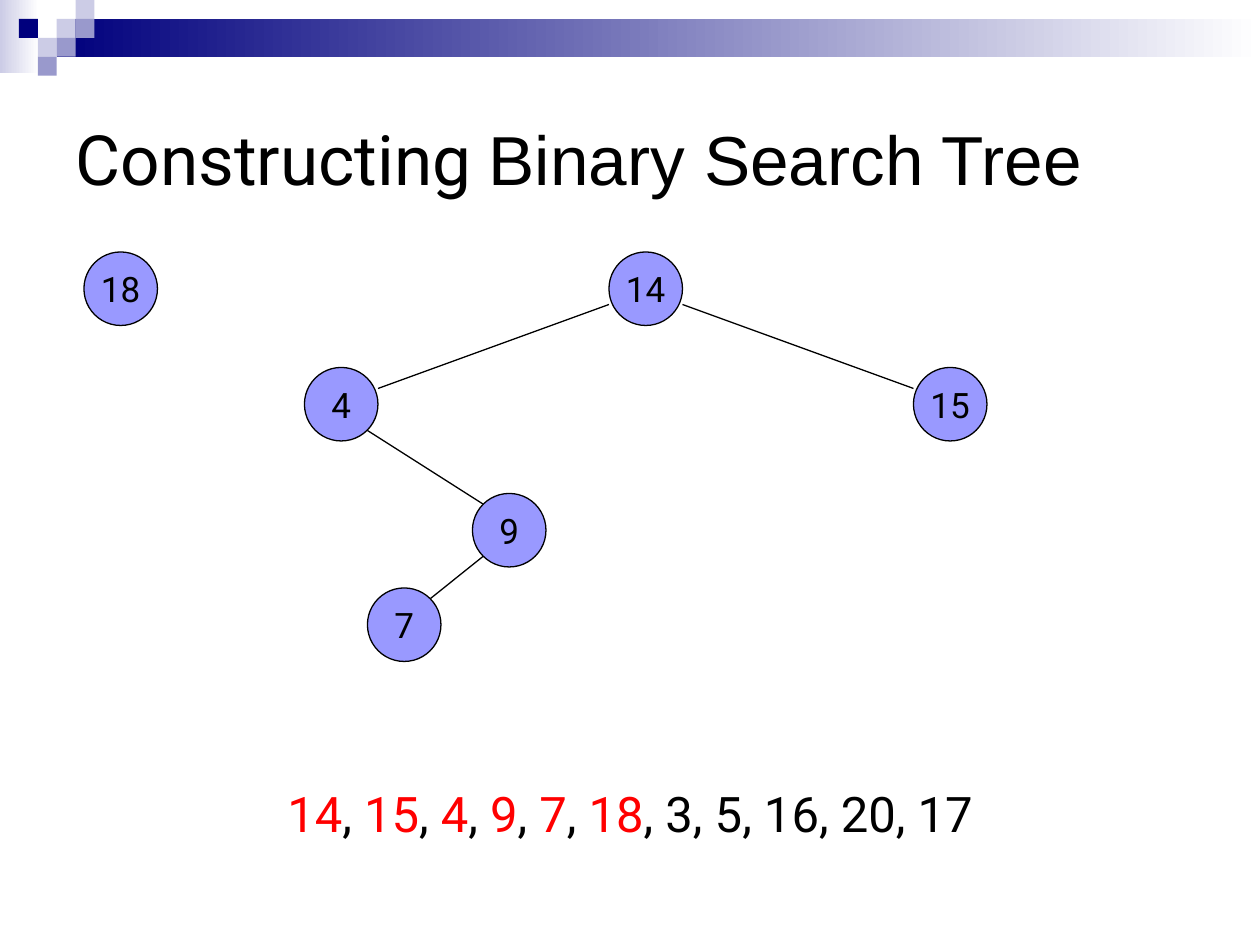
from dataclasses import dataclass

from lxml import etree
from pptx import Presentation
from pptx.dml.color import RGBColor
from pptx.enum.shapes import MSO_CONNECTOR, MSO_SHAPE
from pptx.enum.text import MSO_ANCHOR, PP_ALIGN
from pptx.oxml.ns import qn
from pptx.util import Pt

RECTANGLE, OVAL = MSO_SHAPE.RECTANGLE, MSO_SHAPE.OVAL
STRAIGHT = MSO_CONNECTOR.STRAIGHT
LEFT, CENTER = PP_ALIGN.LEFT, PP_ALIGN.CENTER
TOP, MIDDLE = MSO_ANCHOR.TOP, MSO_ANCHOR.MIDDLE
EMU_PER_PX = 7620
TITLE_ONLY = 5


@dataclass(frozen=True)
class Theme:
    ink: str = "000000"
    inserted: str = "FF0000"
    node: str = "9999FF"
    navy: str = "00007D"
    mid: str = "9999CC"
    pale: str = "CCCCE6"
    white: str = "FFFFFF"
    font: str = "Roboto"
    latin: str = "Arial"
    title_size: float = 39.6
    sequence_size: int = 28
    node_size: int = 20
    stroke: float = 0.75


def px(*lengths):
    return [length * EMU_PER_PX for length in lengths]


def set_all(target, values):
    for name, value in values.items():
        setattr(target, name, value)


class SlideBuilder:
    def __init__(self, slide, theme):
        self.slide = slide
        self.theme = theme

    def fill_text(self, frame, runs, size, align, anchor, margins=None):
        set_all(frame, {"word_wrap": True, "vertical_anchor": anchor, **(margins or {})})
        paragraph = frame.paragraphs[0]
        paragraph.alignment = align
        for text, font, color in runs:
            run = paragraph.add_run()
            run.text = text
            set_all(run.font, {"name": font, "size": Pt(size)})
            run.font.color.rgb = RGBColor.from_string(color)

    def title(self, box, runs):
        title = self.slide.shapes.title
        set_all(title, dict(zip(("left", "top", "width", "height"), px(*box))))
        self.fill_text(title.text_frame, runs, self.theme.title_size, LEFT, MIDDLE)

    def text(self, box, runs, size):
        textbox = self.slide.shapes.add_textbox(*px(*box))
        self.fill_text(textbox.text_frame, runs, size, CENTER, TOP)

    def shape(self, kind, box, color):
        shape = self.slide.shapes.add_shape(kind, *px(*box))
        shape.shadow.inherit = False
        shape.fill.solid()
        shape.fill.fore_color.rgb = RGBColor.from_string(color)
        shape.line.fill.background()
        return shape

    def fade(self, box, color):
        fill = self.shape(RECTANGLE, box, color).fill
        fill.gradient()
        fill.gradient_angle = 0
        for position, (stop, shade) in enumerate(zip(fill.gradient_stops, (color, self.theme.white))):
            stop.position = position
            stop.color.rgb = RGBColor.from_string(shade)

    def outline(self, line):
        line.width = Pt(self.theme.stroke)
        line.color.rgb = RGBColor.from_string(self.theme.ink)

    def node(self, value, left, top, diameter):
        theme = self.theme
        circle = self.shape(OVAL, (left, top, diameter, diameter), theme.node)
        self.outline(circle.line)
        no_margins = {f"margin_{side}": 0 for side in ("left", "right", "top", "bottom")}
        self.fill_text(circle.text_frame, [(str(value), theme.font, theme.ink)],
                       theme.node_size, CENTER, MIDDLE, no_margins)

    def edge(self, start, end):
        edge = self.slide.shapes.add_connector(STRAIGHT, *px(*start, *end))
        self.outline(edge.line)
        etree.SubElement(edge._element.spPr, qn("a:effectLst"))


def main():
    theme = Theme()
    presentation = Presentation()
    set_all(presentation, dict(zip(("slide_width", "slide_height"), px(1200, 900))))
    slide = presentation.slides.add_slide(presentation.slide_layouts[TITLE_ONLY])
    builder = SlideBuilder(slide, theme)

    builder.fade((0, 0, 37, 70), theme.pale)
    builder.fade((54, 18, 1146, 36), theme.navy)
    tile = 18
    for column, row, color in (
        (3, 1, theme.pale), (4, 0, theme.pale), (4, 1, theme.mid), (2, 2, theme.pale),
        (1, 1, theme.navy), (3, 2, theme.mid), (2, 3, theme.mid),
    ):
        builder.shape(RECTANGLE, (column * tile, row * tile, tile, tile), color)

    builder.title((60, 60, 1080, 180), [
        ("Constructing ", theme.font, theme.ink),
        ("Binary Search Tree", theme.latin, theme.ink),
    ])

    inserted = (14, 15, 4, 9, 7, 18)
    sequence = []
    for value in inserted:
        sequence += [(str(value), theme.font, theme.inserted), (", ", theme.font, theme.ink)]
    sequence.append(("3, 5, 16, 20, 17", theme.font, theme.ink))
    builder.text((60, 740, 1080, 90), sequence, theme.sequence_size)

    diameter = 70
    nodes = {14: (580, 240), 15: (870, 350), 4: (290, 350),
             9: (450, 470), 7: (350, 560), 18: (80, 240)}
    for value, (left, top) in nodes.items():
        builder.node(value, left, top, diameter)

    wide, steep = (0, 50, 20), (10, 60, 10)
    for parent, child, (inset, parent_drop, child_drop) in (
        (14, 15, wide), (14, 4, wide), (4, 9, steep), (9, 7, steep),
    ):
        (parent_x, parent_y), (child_x, child_y) = nodes[parent], nodes[child]
        near, far = inset, diameter - inset
        parent_side, child_side = (far, near) if child > parent else (near, far)
        builder.edge((parent_x + parent_side, parent_y + parent_drop),
                     (child_x + child_side, child_y + child_drop))

    presentation.save("out.pptx")


if __name__ == "__main__":
    main()
